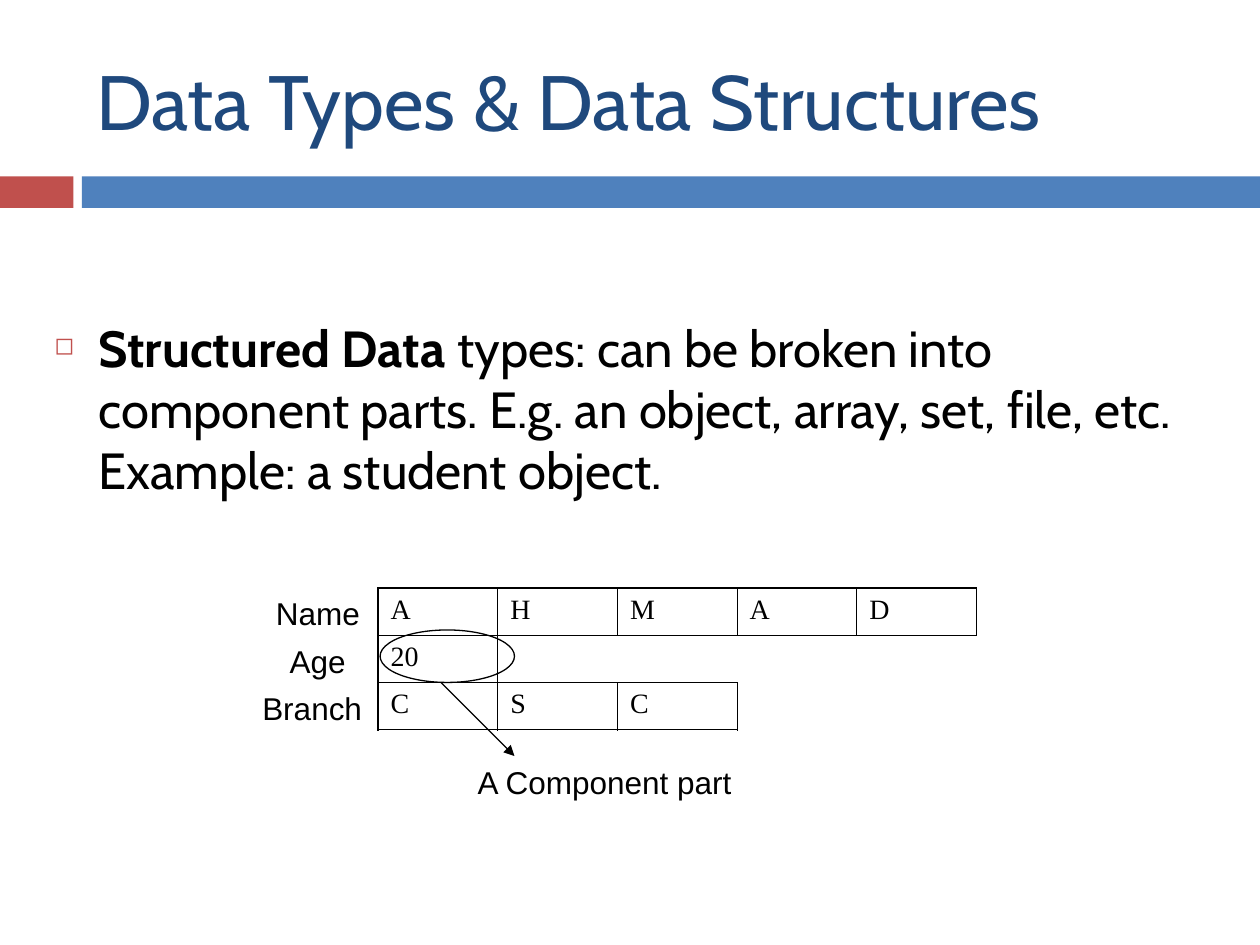
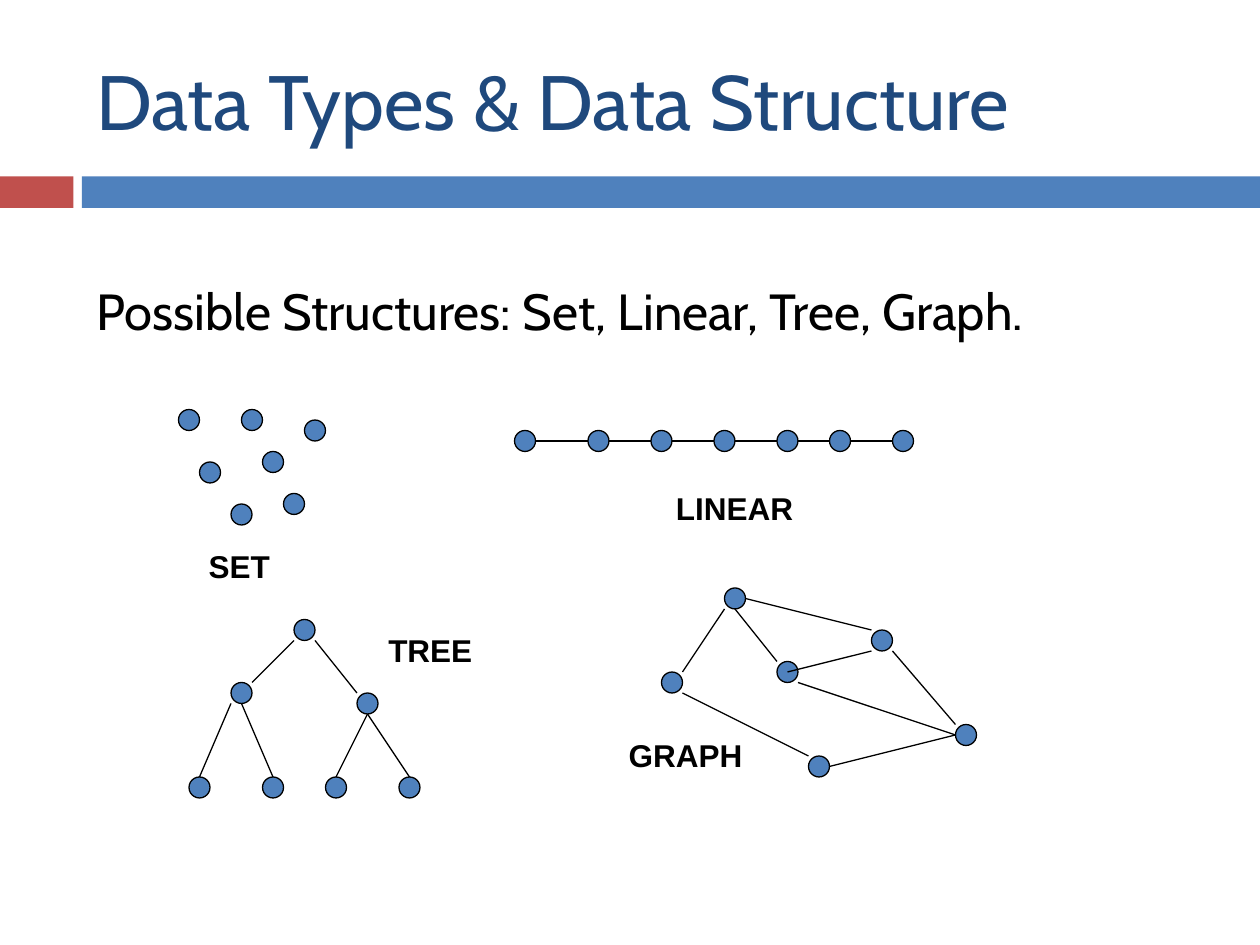
import pptx
import pptx.dml.color
import pptx.enum.shapes
import pptx.enum.text
import pptx.oxml.ns
import pptx.util
from lxml import etree

PX = 7620  # EMU per px, 120 px to the inch
COLORS = {"red": "C0504D", "blue": "4F81BD", "navy": "1F497D", "black": "000000"}
HEADING_FONT, LABEL_FONT, CELL_FONT = "Cabin", "Arial", "Times New Roman"
THIN, THICK, OUTLINE = 0.45, 1.08, 0.75
NODE = 20
SHAPE = pptx.enum.shapes.MSO_SHAPE

# Points on a node's bounding square, in half sides from its top left
ANCHORS = {"NW": (0, 0), "N": (1, 0), "NE": (2, 0), "W": (0, 1), "C": (1, 1),
           "E": (2, 1), "SW": (0, 2), "S": (1, 2), "SE": (2, 2)}


def px(*lengths):
    return [pptx.util.Emu(length * PX) for length in lengths]


def rgb(name):
    return pptx.dml.color.RGBColor.from_string(COLORS[name])


def sub(parent, tag, **attrs):
    return etree.SubElement(parent, pptx.oxml.ns.qn(tag), attrs)


def add_run(p, text, size, font, color="black", bold=False):
    r = p.add_run()
    r.text = text
    r.font.size = pptx.util.Pt(size)
    r.font.name = font
    r.font.bold = bold
    r.font.color.rgb = rgb(color)


def add_text(slide, box, runs, size, font, color="black", wrap=True, middle=False):
    """Add one paragraph made of (text, bold) runs."""
    tf = slide.shapes.add_textbox(*px(*box)).text_frame
    tf.word_wrap = wrap
    tf.auto_size = (pptx.enum.text.MSO_AUTO_SIZE.NONE if wrap
                    else pptx.enum.text.MSO_AUTO_SIZE.SHAPE_TO_FIT_TEXT)
    if middle:
        tf.vertical_anchor = pptx.enum.text.MSO_ANCHOR.MIDDLE
    p = tf.paragraphs[0]
    for text, bold in runs:
        add_run(p, text, size, font, color, bold)
    return p


def add_label(slide, box, text, bold=False):
    add_text(slide, box, [(text, bold)], 18, LABEL_FONT, wrap=False)


def add_preset(slide, kind, box, fill=None, line=None):
    sp = slide.shapes.add_shape(kind, *px(*box))
    sp.shadow.inherit = False
    if fill:
        sp.fill.solid()
        sp.fill.fore_color.rgb = rgb(fill)
    else:
        sp.fill.background()
    if line:
        sp.line.color.rgb = rgb(line)
        sp.line.width = pptx.util.Pt(OUTLINE)
    else:
        sp.line.fill.background()


def add_line(slide, start, end, arrow=False):
    line = slide.shapes.add_connector(
        pptx.enum.shapes.MSO_CONNECTOR.STRAIGHT, *px(*start, *end))
    line.line.color.rgb = rgb("black")
    line.line.width = pptx.util.Pt(OUTLINE)
    if arrow:
        sub(line.line._get_or_add_ln(), "a:tailEnd", type="triangle")
    sub(line._element.spPr, "a:effectLst")


def add_base_slide(prs, title):
    """Blank slide with the title and the two bands."""
    slide = prs.slides.add_slide(prs.slide_layouts[6])
    add_preset(slide, SHAPE.RECTANGLE, (0, 168, 70, 30), "red")
    add_preset(slide, SHAPE.RECTANGLE, (78, 168, 1122, 30), "blue")
    add_text(slide, (80, 30, 1070, 130), [(title, False)], 44, HEADING_FONT,
             "navy", middle=True)
    return slide


def add_bullet(p, char, indent):
    pPr = p._p.get_or_add_pPr()
    pPr.set("marL", str(indent * PX))
    pPr.set("indent", str(-indent * PX))
    sub(sub(pPr, "a:buClr"), "a:srgbClr", val=COLORS["red"])
    sub(pPr, "a:buSzPct", val="48000")
    sub(pPr, "a:buChar", char=char)


def set_border(cell, side, width):
    tcPr = cell._tc.get_or_add_tcPr()
    if width:
        ln = sub(tcPr, "a:ln" + side, w=str(pptx.util.Pt(width)))
        sub(sub(ln, "a:solidFill"), "a:srgbClr", val=COLORS["black"])
    else:
        sub(sub(tcPr, "a:ln" + side, w="0"), "a:noFill")


def add_record_table(slide, x, y, col_width, row_height, records):
    """Table of records of unequal length; only used cells are ruled."""
    n_rows, n_cols = len(records), max(map(len, records))
    table = slide.shapes.add_table(
        n_rows, n_cols, *px(x, y, n_cols * col_width, n_rows * row_height)).table
    table.first_row = table.horz_banding = False

    def inside(row, col):
        return 0 <= row < n_rows and 0 <= col < n_cols

    def used(row, col):
        return inside(row, col) and col < len(records[row])

    for row in range(n_rows):
        table.rows[row].height = px(row_height)[0]
        for col in range(n_cols):
            table.columns[col].width = px(col_width)[0]
            cell = table.cell(row, col)
            neighbours = {"L": (row, col - 1), "R": (row, col + 1),
                          "T": (row - 1, col), "B": (row + 1, col)}
            for side, other in neighbours.items():
                ruled = used(row, col) or used(*other)
                set_border(cell, side, ruled and (THIN if inside(*other) else THICK))
            cell.fill.background()
            if used(row, col):
                add_run(cell.text_frame.paragraphs[0], records[row][col], 16, CELL_FONT)
            else:
                cell.margin_top = cell.margin_bottom = 0


def add_student_record(slide, x, y):
    """Student table with field names and a marked component."""
    add_record_table(slide, x, y, 114, 45, ["AHMAD", ["20"], "CSC"])
    fields = [("Name", -109, 0, 108), ("Age", -96, 46, 80), ("Branch", -122, 90, 122)]
    for text, dx, dy, width in fields:
        add_label(slide, (x + dx, y + dy, width, 48), text)
    add_preset(slide, SHAPE.OVAL, (x + 2, y + 40, 128, 50), line="black")
    add_line(slide, (x + 60, y + 90), (x + 130, y + 160), arrow=True)
    add_label(slide, (x + 83, y + 161, 270, 48), "A Component part")


def add_diagram(slide, x, y, nodes, edges, label, label_box):
    """Round nodes joined by (node, anchor, node, anchor) edges."""
    def point(node, anchor):
        return [origin + at + half * NODE // 2 for origin, at, half
                in zip((x, y), nodes[node], ANCHORS[anchor])]

    for dx, dy in nodes:
        add_preset(slide, SHAPE.OVAL, (x + dx, y + dy, NODE, NODE), "blue", "black")
    for a, a_anchor, b, b_anchor in edges:
        add_line(slide, point(a, a_anchor), point(b, b_anchor))
    dx, dy, width = label_box
    add_label(slide, (x + dx, y + dy, width, 48), label, bold=True)


def add_set(slide, x, y):
    nodes = [(0, 0), (60, 0), (20, 50), (80, 40), (50, 90), (120, 10), (100, 80)]
    add_diagram(slide, x, y, nodes, [], "SET", (17, 125, 85))


def add_linear(slide, x, y):
    nodes = [(dx, 0) for dx in (0, 70, 130, 190, 250, 300, 360)]
    edges = [(i, "E", i + 1, "W") for i in range(len(nodes) - 1)]
    add_diagram(slide, x, y, nodes, edges, "LINEAR", (142, 50, 139))


def add_tree(slide, x, y):
    # Root, two branches, four leaves
    nodes = [(100, 0), (40, 60), (160, 70)] + [(dx, 150) for dx in (0, 70, 130, 200)]
    edges = [(0, "SW", 1, "NE"), (0, "SE", 2, "NW"), (1, "SW", 3, "N"),
             (1, "S", 4, "N"), (2, "S", 5, "N"), (2, "S", 6, "N")]
    add_diagram(slide, x, y, nodes, edges, "TREE", (178, 5, 108))


def add_graph(slide, x, y):
    nodes = [(60, 0), (0, 80), (110, 70), (200, 40), (280, 130), (140, 160)]
    top, left, centre, right, far, low = range(len(nodes))
    edges = [(top, "SW", left, "NE"), (top, "E", right, "NW"),
             (top, "S", centre, "NW"), (right, "SW", centre, "C"),
             (centre, "SE", far, "W"), (right, "SE", far, "NW"),
             (left, "SE", low, "NW"), (low, "E", far, "W")]
    add_diagram(slide, x, y, nodes, edges, "GRAPH", (-43, 135, 135))


def build_structured_data(prs):
    slide = add_base_slide(prs, "Data Types & Data Structures")
    p = add_text(slide, (40, 296, 1130, 378), [
        ("Structured Data", True),
        (" types: can be broken into component parts. E.g. an object, array, "
         "set, file, etc. Example: a student object.", False)], 29, HEADING_FONT)
    add_bullet(p, "◻", 42)
    add_student_record(slide, 360, 560)


def build_possible_structures(prs):
    slide = add_base_slide(prs, "Data Types & Data Structure")
    add_text(slide, (80, 261, 1020, 540),
             [("Possible Structures: Set, Linear, Tree, Graph.", False)],
             29, HEADING_FONT)
    add_set(slide, 170, 390)
    add_linear(slide, 490, 410)
    add_graph(slide, 630, 560)
    add_tree(slide, 180, 590)


def main():
    prs = pptx.Presentation()
    prs.slide_width, prs.slide_height = px(1200, 900)
    build_structured_data(prs)
    build_possible_structures(prs)
    prs.save("out.pptx")


if __name__ == "__main__":
    main()
